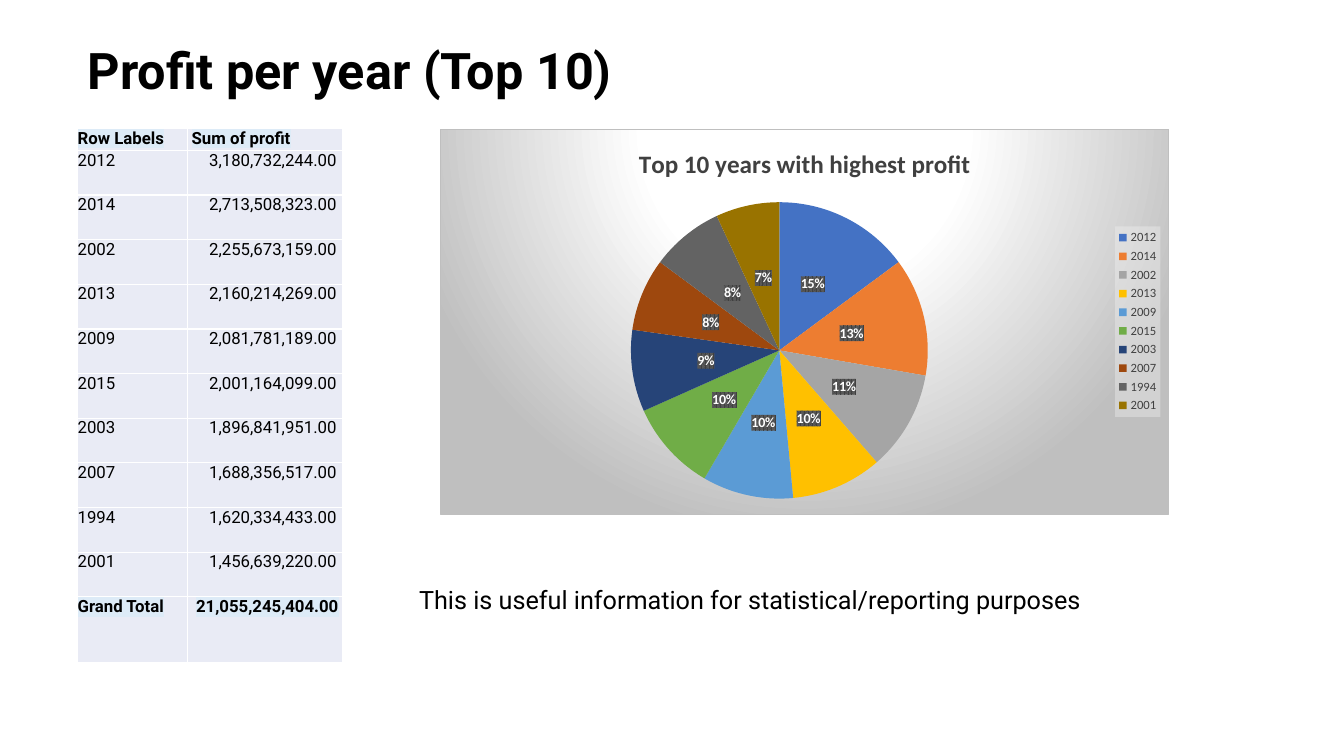
from dataclasses import dataclass

from lxml.etree import fromstring
from pptx import Presentation
from pptx.chart.data import CategoryChartData
from pptx.dml.color import RGBColor
from pptx.enum.chart import XL_CHART_TYPE, XL_LABEL_POSITION, XL_LEGEND_POSITION
from pptx.enum.text import MSO_ANCHOR, PP_ALIGN
from pptx.oxml.ns import qn
from pptx.util import Pt

TITLE = "Profit per year (Top 10)"
CAPTION = "This is useful information for statistical/reporting purposes"
CHART_TITLE = "Top 10 years with highest profit"
HEADER = ("Row Labels", "Sum of profit")
TOTAL = ("Grand Total", "21,055,245,404.00")
YEARS = [
    ("2012", "3,180,732,244.00", 15, "4472C4"),
    ("2014", "2,713,508,323.00", 13, "ED7D31"),
    ("2002", "2,255,673,159.00", 11, "A5A5A5"),
    ("2013", "2,160,214,269.00", 10, "FFC000"),
    ("2009", "2,081,781,189.00", 10, "5B9BD5"),
    ("2015", "2,001,164,099.00", 10, "70AD47"),
    ("2003", "1,896,841,951.00", 9, "264478"),
    ("2007", "1,688,356,517.00", 8, "9E480E"),
    ("1994", "1,620,334,433.00", 8, "636363"),
    ("2001", "1,456,639,220.00", 7, "997300"),
]


@dataclass(frozen=True)
class Theme:
    text_font: str = "Roboto"
    chart_font: str = "Calibri"
    ink: str = "000000"
    chart_ink: str = "404040"
    white: str = "FFFFFF"
    cell: str = "E9EBF5"
    highlight: str = "DDEBF7"
    edge: str = "BFBFBF"
    legend: str = "F2F2F2"
    label_back: str = "595959"
    title_size: int = 36
    caption_size: int = 18
    table_size: int = 12
    chart_title_size: int = 18
    label_size: int = 10
    legend_size: int = 9


THEME = Theme()
DRAWING = "http://schemas.openxmlformats.org/drawingml/2006/main"
CHART = "http://schemas.openxmlformats.org/drawingml/2006/chart"
CHART_FILL = f"""<a:gradFill><a:gsLst>
<a:gs pos="0"><a:srgbClr val="{THEME.white}"/></a:gs>
<a:gs pos="39000"><a:srgbClr val="{THEME.white}"/></a:gs>
<a:gs pos="100000"><a:srgbClr val="{THEME.edge}"/></a:gs></a:gsLst>
<a:path path="circle"><a:fillToRect l="50000" t="-80000" r="50000" b="180000"/></a:path>
</a:gradFill><a:ln w="9525"><a:solidFill><a:srgbClr val="{THEME.edge}"/></a:solidFill></a:ln>"""
LEGEND_FILL = f"""<a:solidFill><a:srgbClr val="{THEME.legend}">
<a:alpha val="39000"/></a:srgbClr></a:solidFill>"""
LABEL_FILL = f"""<a:pattFill prst="pct75"><a:fgClr><a:srgbClr val="{THEME.chart_ink}"/></a:fgClr>
<a:bgClr><a:srgbClr val="{THEME.label_back}"/></a:bgClr></a:pattFill>"""
PLOT_LAYOUT = f"""<c:layout xmlns:c="{CHART}"><c:manualLayout><c:layoutTarget val="inner"/>
<c:xMode val="edge"/><c:yMode val="edge"/><c:x val="0.26"/><c:y val="0.19"/>
<c:w val="0.41"/><c:h val="0.77"/></c:manualLayout></c:layout>"""


def style(font, name, size, color, bold=False):
    font.name = name
    font.size = Pt(size)
    font.bold = bold
    font.color.rgb = RGBColor.from_string(color)


def add_fill(element, fill):
    properties = fromstring(
        f'<c:spPr xmlns:c="{CHART}" xmlns:a="{DRAWING}">{fill}</c:spPr>')
    element.find(qn("c:txPr")).addprevious(properties)


def add_title(page):
    title = page.shapes.title
    title.left, title.top, title.width, title.height = Pt(55.44), Pt(0), Pt(828), Pt(104.4)
    frame = title.text_frame
    frame.text = TITLE
    frame.vertical_anchor = MSO_ANCHOR.MIDDLE
    para = frame.paragraphs[0]
    para.alignment = PP_ALIGN.LEFT
    para.line_spacing = 0.9
    style(para.font, THEME.text_font, THEME.title_size, THEME.ink, True)


def fill_cell(cell, text, bold, right_margin=None):
    cell.fill.solid()
    cell.fill.fore_color.rgb = RGBColor.from_string(THEME.cell)
    cell.margin_left = cell.margin_top = cell.margin_right = cell.margin_bottom = 0
    para = cell.text_frame.paragraphs[0]
    span = para.add_run()
    span.text = text
    style(span.font, THEME.text_font, THEME.table_size, THEME.ink, bold)
    if right_margin:
        cell.margin_right = Pt(right_margin)
        para.alignment = PP_ALIGN.RIGHT
    if bold:
        mark = fromstring(f'<a:highlight xmlns:a="{DRAWING}">'
                          f'<a:srgbClr val="{THEME.highlight}"/></a:highlight>')
        span.font._element.find(qn("a:solidFill")).addnext(mark)


def add_profit_table(page):
    rows = [HEADER, *(year[:2] for year in YEARS), TOTAL]
    heights = [15.6] + [31.9] * len(YEARS) + [47]
    widths = (78.5, 110.9)
    table = page.shapes.add_table(len(rows), len(widths), Pt(55.44), Pt(91.8),
                                  Pt(sum(widths)), Pt(sum(heights))).table
    table.first_row = table.horz_banding = False
    for column, width in zip(table.columns, widths):
        column.width = Pt(width)
    for index, (label, amount) in enumerate(rows):
        table.rows[index].height = Pt(heights[index])
        bold = index in (0, len(rows) - 1)
        margin = None if index == 0 else 3 if bold else 4.3
        fill_cell(table.cell(index, 0), label, bold)
        fill_cell(table.cell(index, 1), amount, bold, margin)
    table.cell(0, 1).margin_left = Pt(3)


def add_profit_chart(page):
    data = CategoryChartData()
    data.categories = [year[0] for year in YEARS]
    data.add_series("Series 1", [year[2] for year in YEARS])
    chart = page.shapes.add_chart(XL_CHART_TYPE.PIE, Pt(314.6), Pt(91.8),
                                  Pt(520.6), Pt(275.8), data).chart
    style(chart.font, THEME.chart_font, THEME.label_size, THEME.ink)
    add_fill(chart._chartSpace, CHART_FILL)

    chart.has_title = True
    chart.chart_title.include_in_layout = False
    frame = chart.chart_title.text_frame
    frame.text = CHART_TITLE
    style(frame.paragraphs[0].font, THEME.chart_font, THEME.chart_title_size,
          THEME.chart_ink, True)

    chart.has_legend = True
    legend = chart.legend
    legend.position = XL_LEGEND_POSITION.RIGHT
    legend.include_in_layout = False
    style(legend.font, THEME.chart_font, THEME.legend_size, THEME.chart_ink)
    add_fill(legend._element, LEGEND_FILL)

    plot_area = chart._chartSpace.find(".//" + qn("c:plotArea"))
    for layout in plot_area.findall(qn("c:layout")):
        plot_area.remove(layout)
    plot_area.insert(0, fromstring(PLOT_LAYOUT))

    plot = chart.plots[0]
    plot.vary_by_categories = True
    series = plot.series[0]
    for index, year in enumerate(YEARS):
        fill = series.points[index].format.fill
        fill.solid()
        fill.fore_color.rgb = RGBColor.from_string(year[3])
    labels = series.data_labels
    labels.show_value = False
    labels.show_percentage = True
    labels.number_format = "0%"
    labels.number_format_is_linked = False
    labels.position = XL_LABEL_POSITION.CENTER
    style(labels.font, THEME.chart_font, THEME.label_size, THEME.white, True)
    add_fill(labels._element, LABEL_FILL)


def add_caption(page):
    box = page.shapes.add_textbox(Pt(292.3), Pt(414), Pt(612), Pt(29))
    box.text_frame.word_wrap = True
    box.text_frame.text = CAPTION
    style(box.text_frame.paragraphs[0].font, THEME.text_font, THEME.caption_size, THEME.ink)


def main():
    deck = Presentation()
    deck.slide_width, deck.slide_height = Pt(960), Pt(540)
    page = deck.slides.add_slide(deck.slide_layouts[5])
    add_title(page)
    add_profit_table(page)
    add_profit_chart(page)
    add_caption(page)
    deck.save("out.pptx")


if __name__ == "__main__":
    main()
